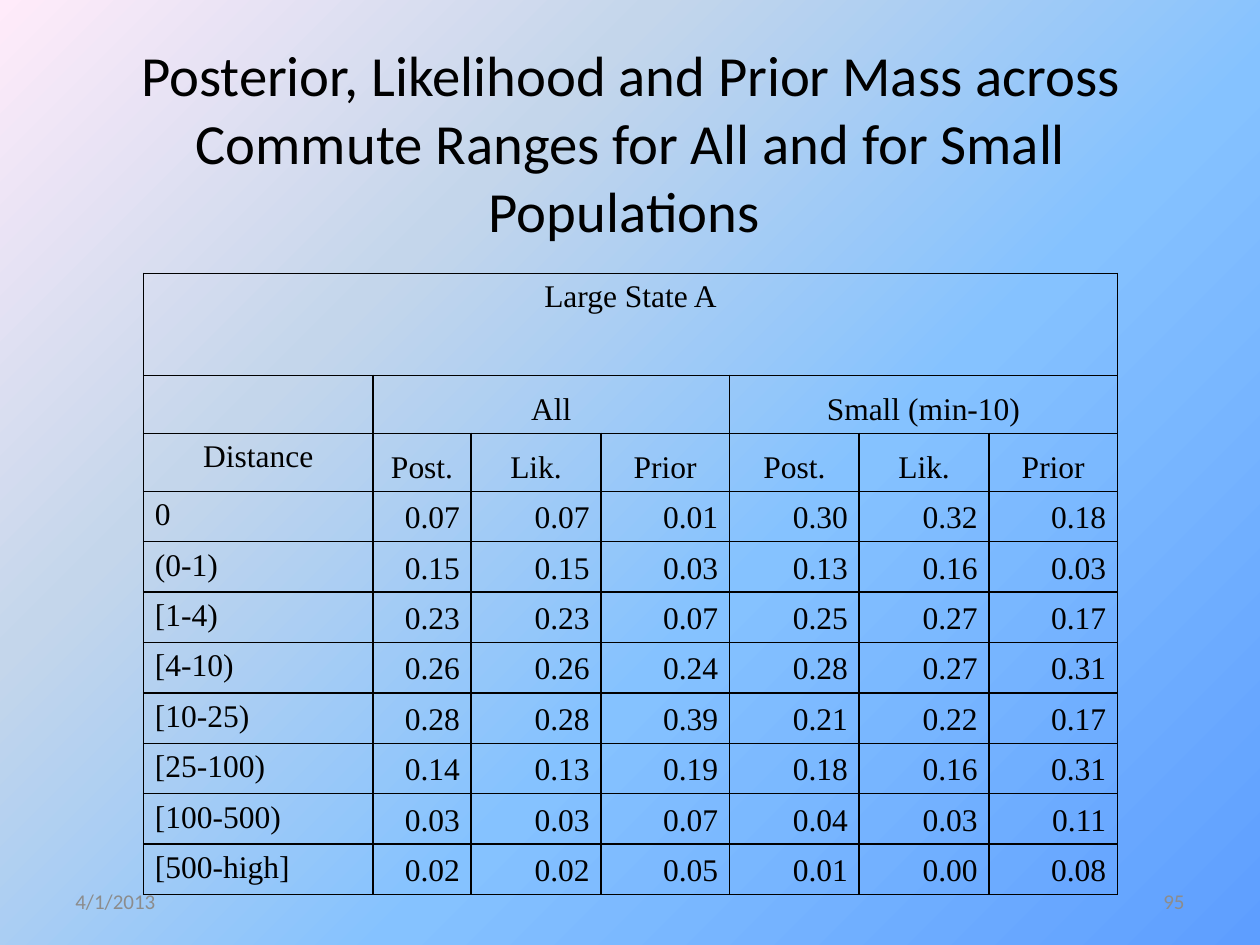
from pptx import Presentation
from pptx.dml.color import RGBColor
from pptx.enum.text import MSO_ANCHOR, PP_ALIGN
from pptx.oxml import parse_xml
from pptx.oxml.ns import nsdecls, qn
from pptx.util import Inches, Pt

TITLE = ("Posterior, Likelihood and Prior Mass across Commute Ranges "
         "for All and for Small Populations ")
REGION = "Large State A"
POPULATIONS = ["All", "Small (min-10)"]
MEASURES = ["Post.", "Lik.", "Prior"]
DISTANCE_HEADING = "Distance"
MASSES = [
    ("0", "0.07", "0.07", "0.01", "0.30", "0.32", "0.18"),
    ("(0-1)", "0.15", "0.15", "0.03", "0.13", "0.16", "0.03"),
    ("[1-4)", "0.23", "0.23", "0.07", "0.25", "0.27", "0.17"),
    ("[4-10)", "0.26", "0.26", "0.24", "0.28", "0.27", "0.31"),
    ("[10-25)", "0.28", "0.28", "0.39", "0.21", "0.22", "0.17"),
    ("[25-100)", "0.14", "0.13", "0.19", "0.18", "0.16", "0.31"),
    ("[100-500)", "0.03", "0.03", "0.07", "0.04", "0.03", "0.11"),
    ("[500-high]", "0.02", "0.02", "0.05", "0.01", "0.00", "0.08"),
]
FOOTERS = [("4/1/2013", 0.5, PP_ALIGN.LEFT), ("95", 7.17, PP_ALIGN.RIGHT)]

COLORS = {"text": "000000", "border": "000000", "footer": "8C8C8C"}
BACKGROUND_STOPS = [(0, "5E9EFF"), (40, "85C2FF"), (70, "C4D6EB"), (100, "FFEBFA")]
COLUMN_WIDTHS = [1.82, 0.78, 1.03, 1.02, 1.03, 1.03, 1.02]
ROW_HEIGHTS = [0.81, 0.46, 0.46] + [0.4] * len(MASSES)
HANGING = 0.38


def place(shape, left, top, width, height):
    shape.left, shape.top = Inches(left), Inches(top)
    shape.width, shape.height = Inches(width), Inches(height)


def write(paragraph, text, font_name, size, color, align):
    paragraph.alignment = align
    run = paragraph.add_run()
    run.text = text
    run.font.name, run.font.size, run.font.bold = font_name, Pt(size), False
    run.font.color.rgb = RGBColor.from_string(COLORS[color])


def paint_background(slide):
    """Radial gradient that spreads from the bottom right corner."""
    stops = "".join(f'<a:gs pos="{share * 1000}"><a:srgbClr val="{color}"/></a:gs>'
                    for share, color in BACKGROUND_STOPS)
    background = parse_xml(
        f'<p:bg {nsdecls("p", "a")}><p:bgPr><a:gradFill rotWithShape="1">'
        f'<a:gsLst>{stops}</a:gsLst><a:path path="circle">'
        '<a:fillToRect l="100000" t="100000"/></a:path></a:gradFill>'
        '<a:effectLst/></p:bgPr></p:bg>')
    slide.element.find(qn("p:cSld")).insert(0, background)


def style_cell(cell):
    """Clear the fill and draw a thin line on all four sides."""
    cell.fill.background()
    cell.margin_left = cell.margin_right = Inches(0.09)
    cell.margin_top = cell.margin_bottom = Inches(0.05)
    properties = cell._tc.get_or_add_tcPr()
    for position, side in enumerate("LRTB"):
        properties.insert(position, parse_xml(
            f'<a:ln{side} {nsdecls("a")} w="{Pt(1)}"><a:solidFill>'
            f'<a:srgbClr val="{COLORS["border"]}"/></a:solidFill></a:ln{side}>'))


def fill_cell(cell, text, align, anchor=MSO_ANCHOR.BOTTOM):
    cell.vertical_anchor = anchor
    paragraph = cell.text_frame.paragraphs[0]
    write(paragraph, text, "Times New Roman", 18, "text", align)
    indents = paragraph._p.get_or_add_pPr()
    indents.set("marL", str(Inches(HANGING)))
    indents.set("indent", str(-Inches(HANGING)))


def add_mass_table(slide):
    frame = slide.shapes.add_table(
        len(ROW_HEIGHTS), len(COLUMN_WIDTHS), Inches(1.14), Inches(2.17),
        Inches(sum(COLUMN_WIDTHS)), Inches(sum(ROW_HEIGHTS)))
    table = frame.table
    table.first_row = table.horz_banding = False
    for column, width in zip(table.columns, COLUMN_WIDTHS):
        column.width = Inches(width)
    for row, height in zip(table.rows, ROW_HEIGHTS):
        row.height = Inches(height)
    for cell in table.iter_cells():
        style_cell(cell)

    table.cell(0, 0).merge(table.cell(0, len(COLUMN_WIDTHS) - 1))
    fill_cell(table.cell(0, 0), REGION, PP_ALIGN.CENTER, MSO_ANCHOR.TOP)
    fill_cell(table.cell(2, 0), DISTANCE_HEADING, PP_ALIGN.CENTER, MSO_ANCHOR.TOP)
    for group, population in enumerate(POPULATIONS):
        first = 1 + group * len(MEASURES)
        table.cell(1, first).merge(table.cell(1, first + len(MEASURES) - 1))
        fill_cell(table.cell(1, first), population, PP_ALIGN.CENTER)
        for offset, measure in enumerate(MEASURES):
            fill_cell(table.cell(2, first + offset), measure, PP_ALIGN.CENTER)
    for row, (distance, *values) in enumerate(MASSES, start=3):
        fill_cell(table.cell(row, 0), distance, PP_ALIGN.LEFT, MSO_ANCHOR.TOP)
        for column, value in enumerate(values, start=1):
            fill_cell(table.cell(row, column), value, PP_ALIGN.RIGHT)


def main():
    deck = Presentation()
    deck.slide_width, deck.slide_height = Inches(10), Inches(7.5)
    slide = deck.slides.add_slide(deck.slide_layouts[5])
    paint_background(slide)

    title = slide.shapes.title
    place(title, 0.67, 0.5, 8.67, 1.25)
    title.text_frame.vertical_anchor = MSO_ANCHOR.MIDDLE
    write(title.text_frame.paragraphs[0], TITLE, "Calibri", 32.4, "text", PP_ALIGN.CENTER)

    add_mass_table(slide)

    for text, left, align in FOOTERS:
        footer = slide.shapes.add_textbox(Inches(left), Inches(6.95), Inches(2.33), Inches(0.4))
        footer.text_frame.word_wrap = True
        footer.text_frame.vertical_anchor = MSO_ANCHOR.MIDDLE
        write(footer.text_frame.paragraphs[0], text, "Calibri", 12, "footer", align)

    deck.save("out.pptx")


if __name__ == "__main__":
    main()
